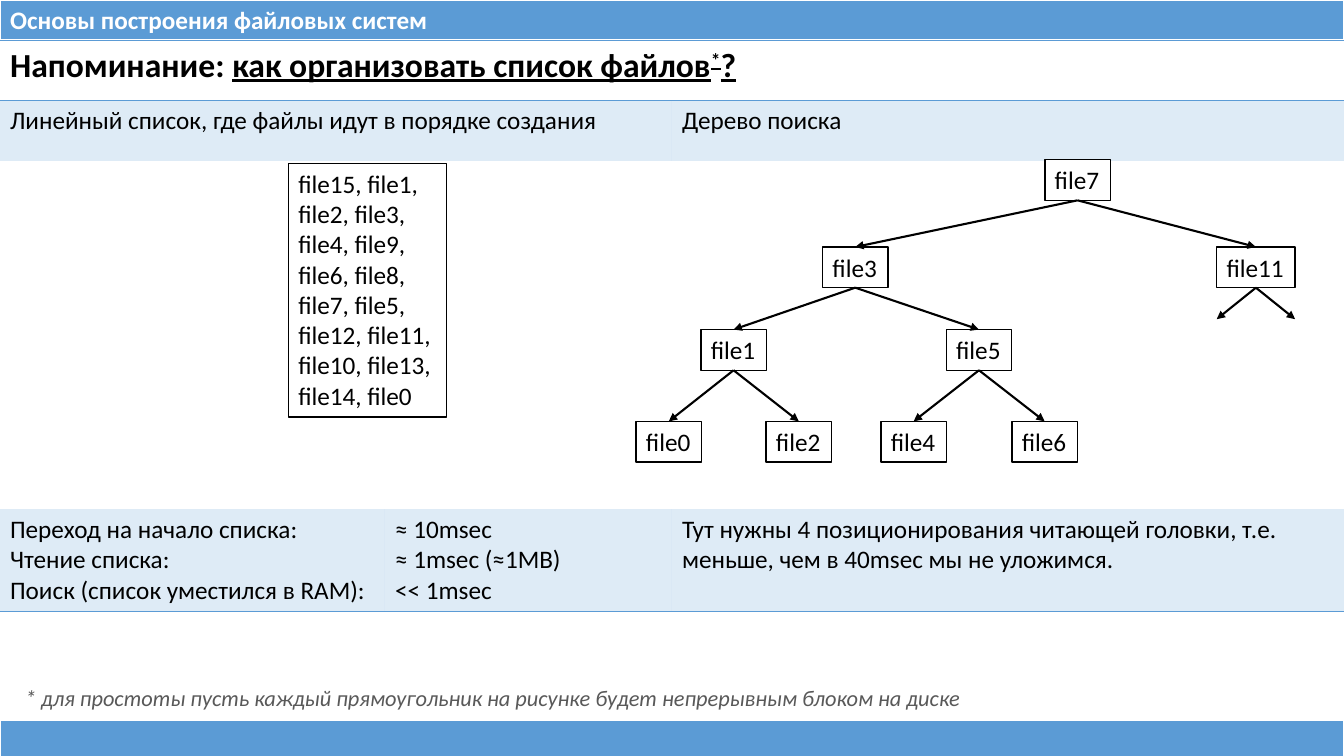
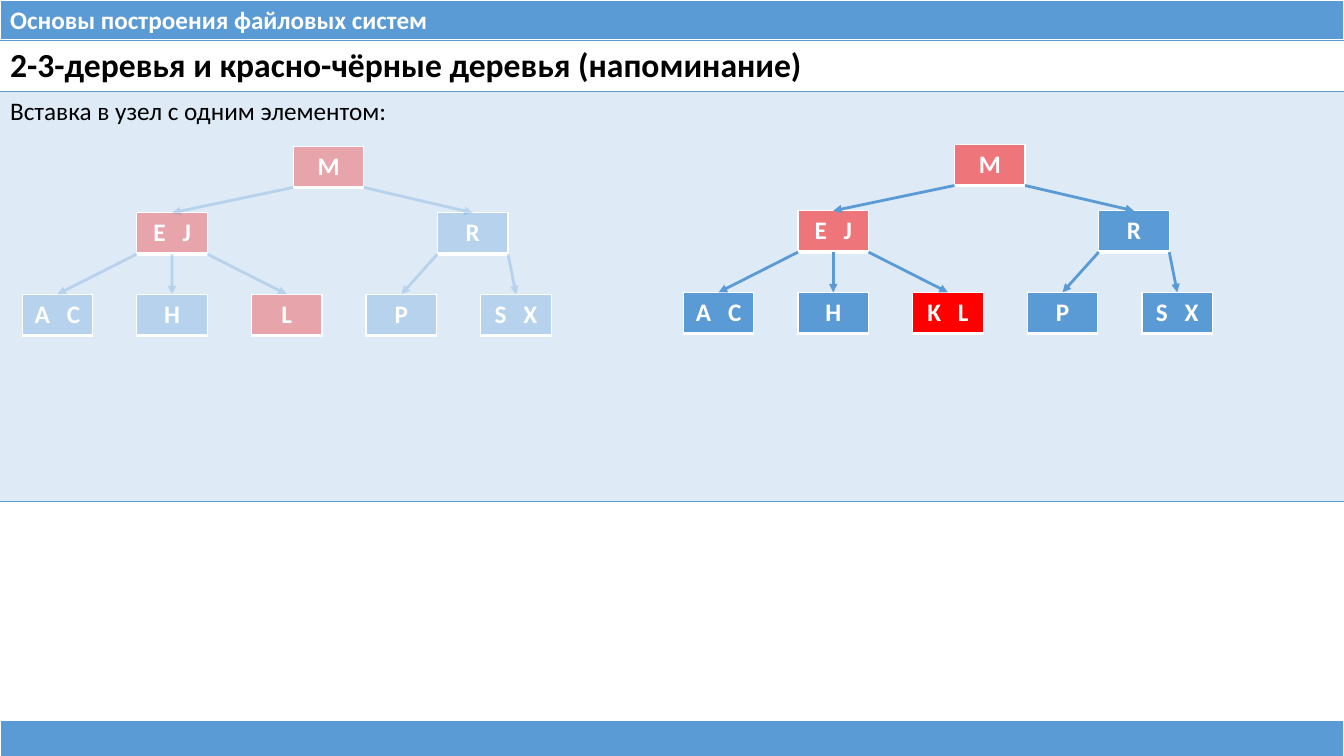
from pptx import Presentation
from pptx.dml.color import RGBColor
from pptx.enum.shapes import MSO_CONNECTOR, MSO_SHAPE
from pptx.enum.text import MSO_ANCHOR, PP_ALIGN
from pptx.oxml.ns import qn
from pptx.util import Pt
from lxml.etree import SubElement

BLUE = RGBColor(0x5B, 0x9B, 0xD5)
RED = RGBColor(0xFF, 0, 0)
WHITE = RGBColor(0xFF, 0xFF, 0xFF)
BLACK = RGBColor(0, 0, 0)
GRAY = RGBColor(0x59, 0x59, 0x59)
FONT = "Calibri"
PLAIN = "{2D5ABB26-0587-4C30-8999-92F81FD0307C}"
FRAME = {"L": (WHITE, 1), "R": (WHITE, 1), "T": (WHITE, 1), "B": (WHITE, 3)}
WIDE, HIGH = 960, 540


def grid(slide, x, y, cols, rows, texts, fills, framed=False, align=PP_ALIGN.LEFT):
    frame = slide.shapes.add_table(
        len(rows), len(cols), Pt(x), Pt(y), Pt(sum(cols)), Pt(sum(rows)))
    table = frame.table
    table.first_row = table.horz_banding = False
    table._tbl.tblPr.find(qn("a:tableStyleId")).text = PLAIN
    for col, width in zip(table.columns, cols):
        col.width = Pt(width)
    for i, height in enumerate(rows):
        table.rows[i].height = Pt(height)
        sides = FRAME if framed else {}
        if not framed and i == 0:
            sides = {"T": (BLUE, 1), "B": (BLUE, 1)}
        elif not framed and i == len(rows) - 1:
            sides = {"B": (BLUE, 1)}
        for cell, text in zip(table.rows[i].cells, texts[i]):
            body = cell.text_frame
            for n, line in enumerate(text.split("\n") if text else []):
                para = body.add_paragraph() if n else body.paragraphs[0]
                para.alignment = align
                for part in line.split("|"):
                    run = para.add_run()
                    run.text = part
                    run.font.name = FONT
                    run.font.size = Pt(18 if framed or i else 24)
                    run.font.bold = framed or i == 0
                    run.font.color.rgb = WHITE if framed else BLACK
            props = cell._tc.get_or_add_tcPr()
            if fills[i]:
                color, alpha = fills[i]
                cell.fill.solid()
                cell.fill.fore_color.rgb = color
                tint = next(props.iter(qn("a:srgbClr")))
                SubElement(tint, qn("a:alpha")).set("val", str(alpha * 1000))
            else:
                cell.fill.background()
            for n, side in enumerate(s for s in "LRTB" if s in sides):
                color, width = sides[side]
                edge = SubElement(props, qn("a:ln" + side), w=str(Pt(width)))
                fill = SubElement(edge, qn("a:solidFill"))
                SubElement(fill, qn("a:srgbClr"), val=str(color))
                props.insert(n, edge)
    return table


def arrow(slide, x1, y1, x2, y2, color, width, alpha=100):
    link = slide.shapes.add_connector(
        MSO_CONNECTOR.STRAIGHT, Pt(x1), Pt(y1), Pt(x2), Pt(y2))
    link.line.color.rgb = color
    link.line.width = Pt(width)
    line = link.line._ln
    tint = next(line.iter(qn("a:srgbClr")))
    SubElement(tint, qn("a:alpha")).set("val", str(alpha * 1000))
    SubElement(line, qn("a:tailEnd"), type="triangle")
    SubElement(link._element.spPr, qn("a:effectLst"))


deck = Presentation()
deck.slide_width, deck.slide_height = Pt(WIDE), Pt(HIGH)
pages = [deck.slides.add_slide(deck.slide_layouts[6]) for _ in range(2)]
for page in pages:
    for top, text in ((0, "Основы построения файловых систем"), (514.4, "")):
        grid(page, 0, top, [WIDE], [28.8], [[text]], [(BLUE, 100)], True)

lists, trees = pages
PALE = (BLUE, 20)

table = grid(
    lists, 0, 28.8, [275, 205, 480], [43, 43.2, 248.6, 73],
    [["Напоминание: |как организовать список файлов|*|?", "", ""],
     ["Линейный список, где файлы идут в порядке создания", "", "Дерево поиска"],
     ["", "", ""],
     ["Переход на начало списка:\nЧтение списка:\nПоиск (список уместился в RAM):",
      "≈ 10msec\n≈ 1msec (≈1MB)\n<< 1msec",
      "Тут нужны 4 позиционирования читающей головки, т.е.\n"
      "меньше, чем в 40msec мы не уложимся."]],
    [None, PALE, None, PALE])
for row, last in enumerate((2, 1, 1)):
    table.cell(row, 0).merge(table.cell(row, last))
title = table.cell(0, 0).text_frame.paragraphs[0].runs
for run in title[1:]:
    run.font.underline = True
title[2]._r.get_or_add_rPr().set("baseline", "30000")

nodes = {
    "file7": (769.7, 114), "file3": (610.9, 176.4), "file11": (897.1, 176.4),
    "file1": (524, 235.4), "file5": (699.3, 235.4),
    "file0": (477.7, 301), "file2": (570.6, 301),
    "file4": (652.6, 301), "file6": (746.2, 301),
}
TALL = 29.1
listing = ("file15, file1,\nfile2, file3,\nfile4, file9,\nfile6, file8,\n"
           "file7, file5,\nfile12, file11,\nfile10, file13,\nfile14, file0")
note = "* для простоты пусть каждый прямоугольник на рисунке будет непрерывным блоком на диске"
boxes = [(note, 10.8, 485.3, 697, 26.6), (listing, 206, 116.6, 113, 181.4)]
for name, (mid, top) in nodes.items():
    width = 56 if name == "file11" else 46.8
    boxes.append((name, mid - width / 2, top, width, TALL))
for text, *place in boxes:
    box = lists.shapes.add_shape(MSO_SHAPE.RECTANGLE, *map(Pt, place))
    box.shadow.inherit = False
    if text == note:
        box.fill.background()
        box.line.fill.background()
    else:
        box.fill.solid()
        box.fill.fore_color.rgb = WHITE
        box.line.color.rgb = BLACK
        box.line.width = Pt(1)
    body = box.text_frame
    body.word_wrap = False
    body.vertical_anchor = MSO_ANCHOR.TOP
    for n, line in enumerate(text.split("\n")):
        para = body.add_paragraph() if n else body.paragraphs[0]
        para.alignment = PP_ALIGN.LEFT
        run = para.add_run()
        run.text = line
        run.font.name = FONT
        run.font.size = Pt(16 if text == note else 18)
        run.font.italic = text == note
        run.font.color.rgb = GRAY if text == note else BLACK

links = {"file7": ("file3", "file11"), "file3": ("file1", "file5"),
         "file1": ("file0", "file2"), "file5": ("file4", "file6")}
for name, kids in links.items():
    mid, top = nodes[name]
    for kid in kids:
        arrow(lists, mid, top + TALL, *nodes[kid], BLACK, 1.5)
mid, top = nodes["file11"]
for step in (-28, 28):
    arrow(lists, mid, top + TALL, mid + step, 228, BLACK, 1.5)

grid(trees, 0, 28.8, [WIDE], [36.6, 292.8],
     [["2-3-деревья и красно-чёрные деревья (напоминание)"],
      ["Вставка в узел с одним элементом:"]], [None, PALE])

SIDE, DEEP, STEP = 50.4, 29.5, 81.9
spots = [(209.5, 104.4), (97.7, 152), (312.5, 152)]
spots += [(15.8 + n * STEP, 210.2) for n in range(5)]
edges = [(0, 0, 1), (0, 1, 2), (1, 0, 3), (1, 0.5, 4), (1, 1, 5), (2, 0, 6), (2, 1, 7)]
for dx, dy, leaf, blue, red, new in (
        (0, 0, "L", 30, 30, 30), (472.3, -1.4, "K |L", 100, 50, 100)):
    names = ["M", "E |J", "R", "A |C", "H", leaf, "P", "S |X"]
    for n, (name, (x, y)) in enumerate(zip(names, spots)):
        fill = (RED, new if n == 5 else red) if n in (0, 1, 5) else (BLUE, blue)
        node = grid(trees, x + dx, y + dy, [SIDE], [DEEP], [[name]], [fill],
                    True, PP_ALIGN.CENTER)
        runs = node.cell(0, 0).text_frame.paragraphs[0].runs
        if len(runs) > 1:
            runs[0]._r.get_or_add_rPr().set("spc", "400")
    for start, part, end in edges:
        x1, y1 = spots[start]
        x2, y2 = spots[end]
        arrow(trees, x1 + dx + part * SIDE, y1 + dy + DEEP,
              x2 + dx + SIDE / 2, y2 + dy, BLUE, 2, blue)

deck.save("out.pptx")
